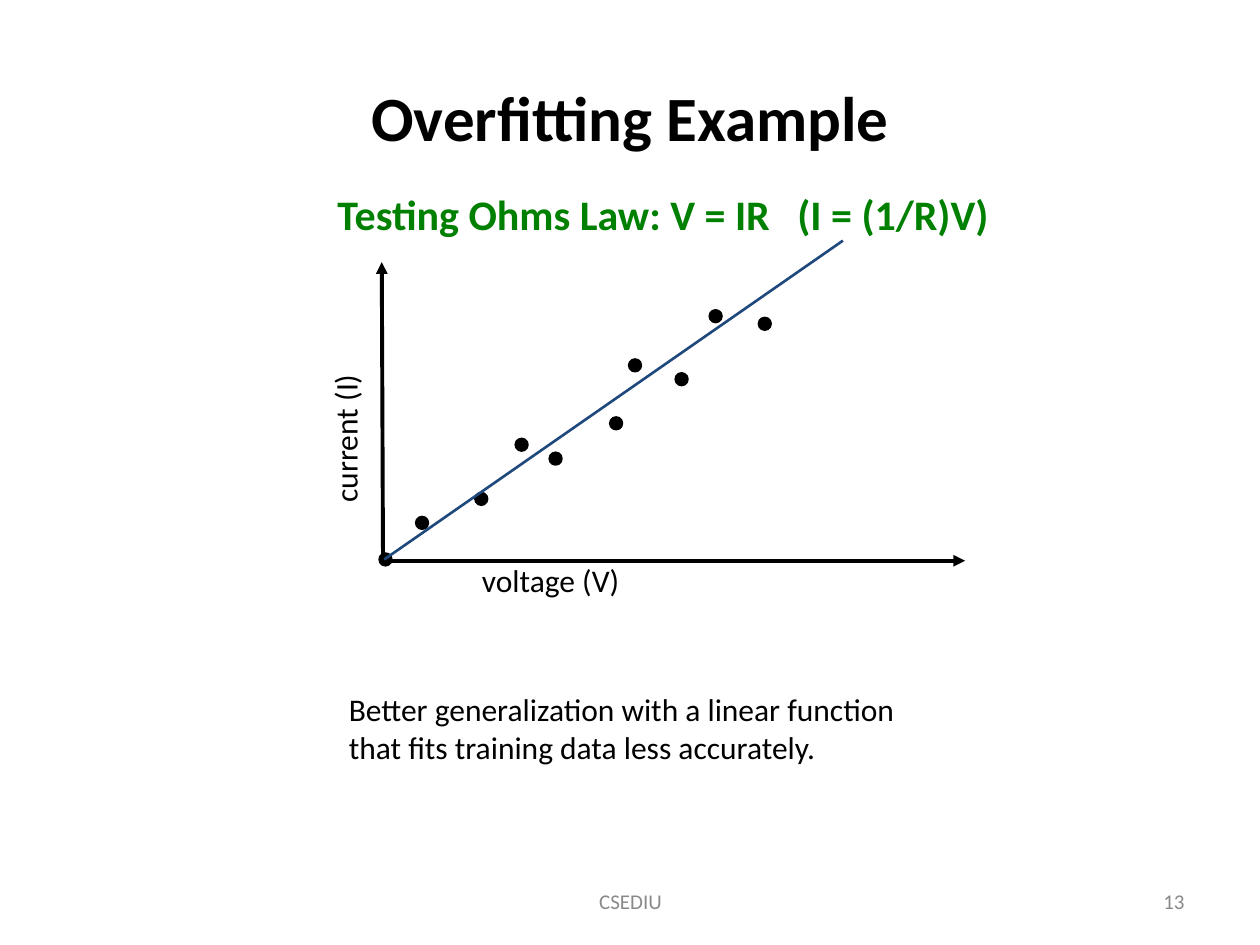
from pptx import Presentation
from pptx import util as u
from pptx.dml.color import RGBColor
from pptx.enum import shapes, text
from pptx.oxml.ns import qn
from lxml import etree

HUES = {"ink": "000000", "head": "008000", "fit": "1F497D", "foot": "898989"}
LEFT, MID, RIGHT = text.PP_ALIGN.LEFT, text.PP_ALIGN.CENTER, text.PP_ALIGN.RIGHT
TOP, HALF = text.MSO_ANCHOR.TOP, text.MSO_ANCHOR.MIDDLE

deck = Presentation()
deck.slide_width, deck.slide_height = u.Inches(10), u.Inches(7.5)
page = deck.slides.add_slide(deck.slide_layouts[6])
# The grid has 100 columns and 75 rows of square cells.
cell = deck.slide_width / 100


def grid(*cells):
    """Turn counts of grid cells into slide lengths."""
    return [round(n * cell) for n in cells]


def label(spot, lines, size, hue="ink", align=LEFT, anchor=TOP, bold=False):
    box = page.shapes.add_textbox(*grid(*spot))
    frame = box.text_frame
    frame.word_wrap = True
    frame.vertical_anchor = anchor
    for i, line in enumerate(lines):
        par = frame.add_paragraph() if i else frame.paragraphs[0]
        par.alignment = align
        run = par.add_run()
        run.text = line
        run.font.name, run.font.size, run.font.bold = "Calibri", u.Pt(size), bold
        run.font.color.rgb = RGBColor.from_string(HUES[hue])
    return box


label((5, 3, 90, 12.5), ["Overfitting Example"], 36, align=MID, anchor=HALF, bold=True)

# Heading, with a tab stop before the second formula
head = label((25.8, 14.5, 54.1, 5), ["Testing Ohms Law: V = IR\t(I = (1/R)V)"],
             24, "head", bold=True)
props = head.text_frame.paragraphs[0]._p.get_or_add_pPr()
stops = etree.SubElement(props, qn("a:tabLst"))
etree.SubElement(stops, qn("a:tab"), pos=str(grid(36.5)[0]), algn="l")

# Axis labels
label((37.2, 44, 13, 4), ["voltage (V)"], 18, align=MID)
side = label((20.9, 32.8, 13, 4), ["current (I)"], 18, align=MID)
side.rotation = 270

# Measured points, by the left and top of each dot
dots = [(30.1, 43.9), (33, 41), (37.7, 39.1), (40.9, 34.8), (43.6, 35.9),
        (48.4, 33.1), (49.9, 28.5), (53.6, 29.6), (56.3, 24.6), (60.2, 25.2)]
for x, y in dots:
    dot = page.shapes.add_shape(shapes.MSO_SHAPE.OVAL, *grid(x, y, 1, 1))
    dot.shadow.inherit = False
    dot.fill.solid()
    dot.fill.fore_color.rgb = RGBColor.from_string(HUES["ink"])
    dot.line.color.rgb = RGBColor.from_string(HUES["ink"])
    dot.line.width = u.Pt(1)

# Both axes and the fitted line
rules = [((30.4, 44.5, 30.3, 20.8), "ink", 2.25, True),
         ((30.3, 44.5, 76.6, 44.5), "ink", 2.25, True),
         ((30.5, 44.4, 66.9, 19.1), "fit", 1.5, False)]
for ends, hue, width, arrow in rules:
    rule = page.shapes.add_connector(shapes.MSO_CONNECTOR.STRAIGHT, *grid(*ends))
    rule.line.color.rgb = RGBColor.from_string(HUES[hue])
    rule.line.width = u.Pt(width)
    if arrow:
        etree.SubElement(rule.line._get_or_add_ln(), qn("a:tailEnd"), type="triangle")
    etree.SubElement(rule._element.spPr, qn("a:effectLst"))

label((26.7, 54.3, 45.5, 7), ["Better generalization with a linear function",
                              "that fits training data less accurately."], 18)

# Footer
label((71.7, 69.5, 23.3, 4), ["13"], 12, "foot", RIGHT, HALF)
label((34.2, 69.5, 31.7, 4), ["CSEDIU"], 12, "foot", MID, HALF)

deck.save("out.pptx")
